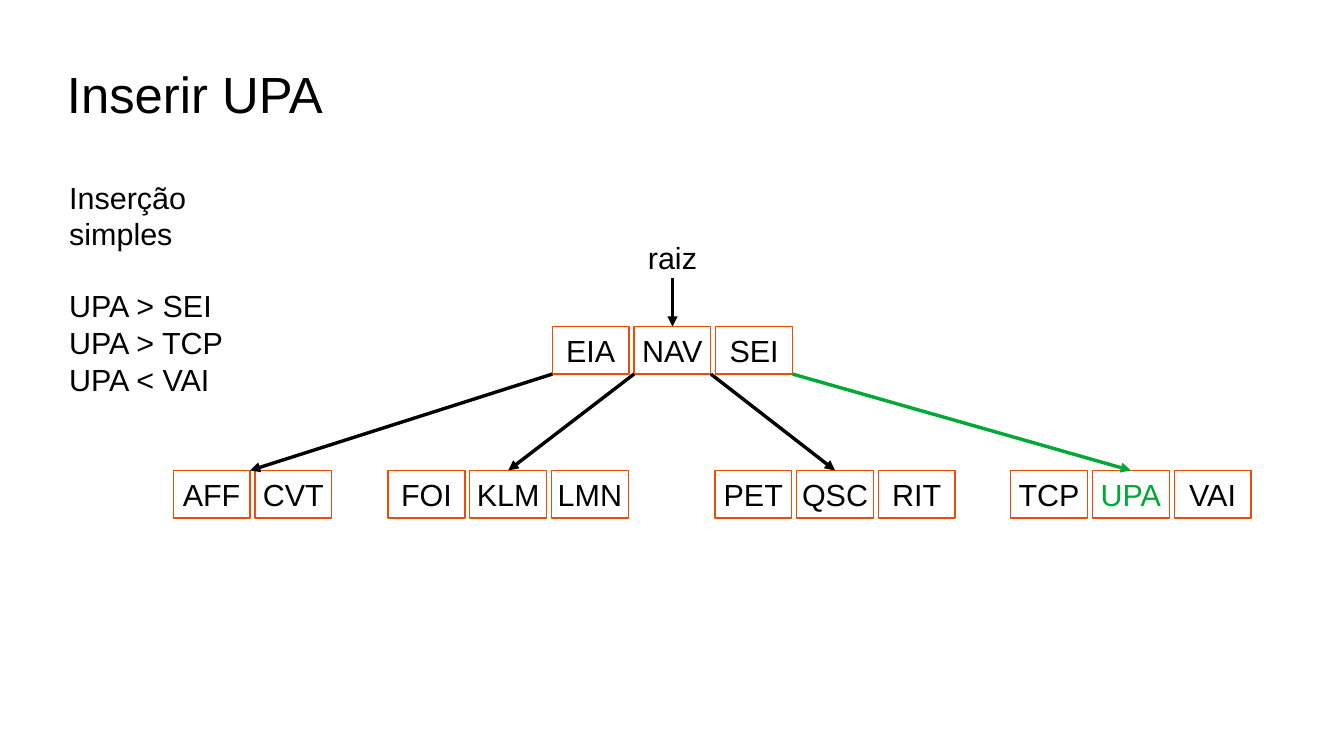
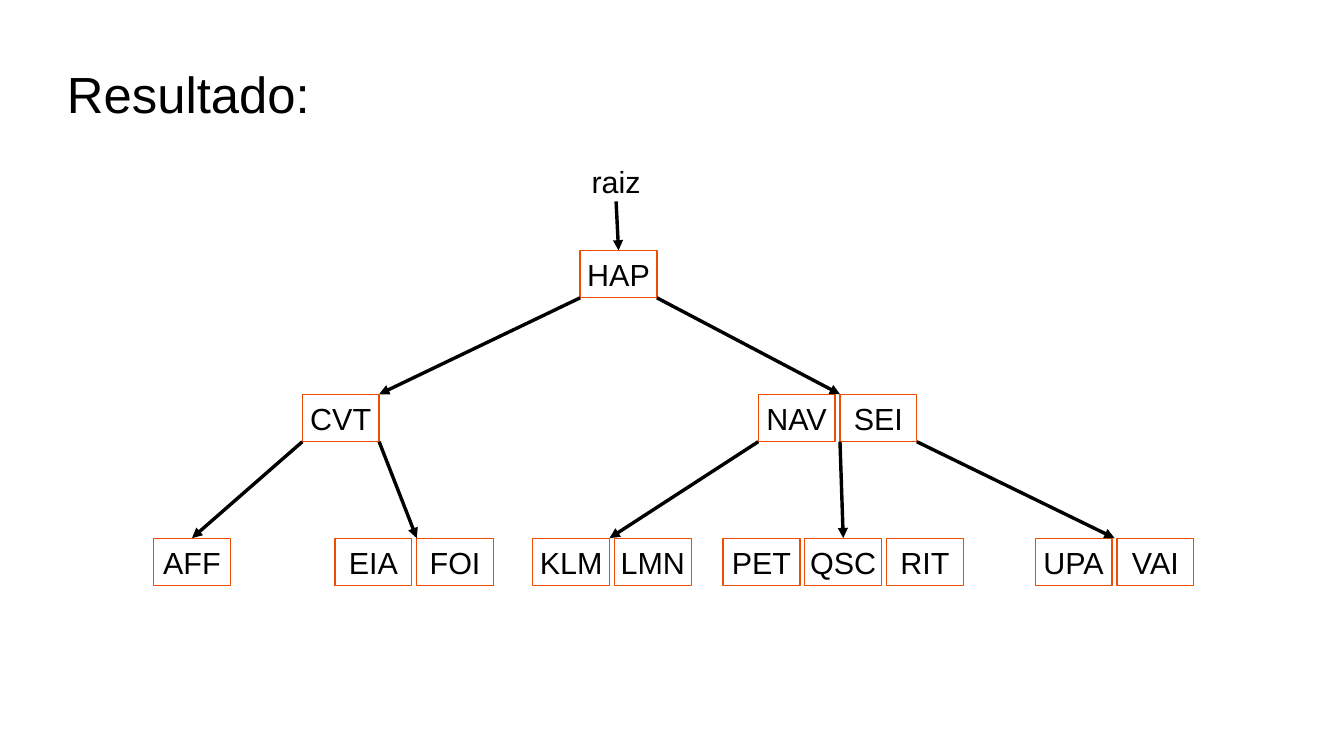
from dataclasses import dataclass

from lxml import etree
from pptx import Presentation
from pptx import util as u
from pptx.dml.color import RGBColor
from pptx.enum import shapes, text
from pptx.oxml import ns
from pptx.shapes.autoshape import Shape
from pptx.slide import Slide


@dataclass(frozen=True)
class Theme:
    font: str = "Arial"
    ink: str = "000000"
    paper: str = "FFFFFF"
    border: str = "ED4C05"
    new: str = "00A933"
    title_size: int = 30
    body_size: int = 18
    note_gap: int = 21
    hairline: int = 0


@dataclass(frozen=True)
class Area:
    """A rectangle in grid columns and rows."""
    column: float
    row: float
    columns: float
    rows: float


@dataclass(frozen=True)
class Node:
    """A tree node; entry shifts the incoming arrow from the node's centre."""
    column: float
    keys: tuple[str, ...]
    entry: float = 0
    children: tuple["Node", ...] = ()
    new_key: str = ""

    @property
    def centre(self) -> float:
        return self.column + (len(self.keys) - 1 + KEY_WIDTH) / 2

    def exit(self, gap: int) -> float:
        """Column where the pointer before key number `gap` starts."""
        if gap * 2 <= len(self.keys):
            return self.column + gap
        return self.column + gap - 1 + KEY_WIDTH


@dataclass(frozen=True)
class TreePage:
    title: str
    root: Node
    root_row: float
    label_shift: float = 0
    notes: tuple[str, ...] = ()


THEME = Theme()
SLIDE_WIDTH, SLIDE_HEIGHT = 11.02, 6.2
# One column holds a key and its gap; one row is a tree level.
COLUMN, ROW = 0.67, 1.18
KEY_WIDTH, KEY_HEIGHT = 0.94, 0.33
LABEL_WIDTH, LABEL_HEIGHT = 0.9, 0.32
LABEL_RISE, ROOT_ARROW = 0.65, 0.34
TITLE_AREA = Area(0.82, 0.21, 14.8, 0.88)
NOTES_AREA = Area(0.7, 1.2, 3.09, 1.27)

PAGES = (
    TreePage(
        "Inserir UPA",
        Node(6.76, ("EIA", "NAV", "SEI"), children=(
            Node(2.12, ("AFF", "CVT"), entry=-0.03),
            Node(4.75, ("FOI", "KLM", "LMN")),
            Node(8.75, ("PET", "QSC", "RIT")),
            Node(12.37, ("TCP", "UPA", "VAI"), new_key="UPA"),
        )),
        root_row=2.27,
        notes=("Inserção simples", "UPA > SEI", "UPA > TCP", "UPA < VAI"),
    ),
    TreePage(
        "Resultado:",
        Node(7.1, ("HAP",), children=(
            Node(3.7, ("CVT",), entry=0.47, children=(
                Node(1.88, ("AFF",)),
                Node(4.1, ("EIA", "FOI"), entry=0.03),
            )),
            Node(9.28, ("NAV", "SEI"), entry=0.03, children=(
                Node(6.52, ("KLM", "LMN"), entry=-0.03),
                Node(8.85, ("PET", "QSC", "RIT")),
                Node(12.67, ("UPA", "VAI")),
            )),
        )),
        root_row=1.74,
        label_shift=-0.03,
    ),
)


def across(columns: float) -> u.Length:
    return u.Inches(columns * COLUMN)


def down(rows: float) -> u.Length:
    return u.Inches(rows * ROW)


def bounds(area: Area) -> tuple[u.Length, u.Length, u.Length, u.Length]:
    return across(area.column), down(area.row), across(area.columns), down(area.rows)


def write(box: Shape, words: str, size: int = THEME.body_size,
          color: str = THEME.ink, align: text.PP_ALIGN = text.PP_ALIGN.LEFT,
          anchor: text.MSO_ANCHOR = text.MSO_ANCHOR.TOP) -> None:
    frame = box.text_frame
    frame.text = words
    frame.word_wrap = False
    frame.vertical_anchor = anchor
    for para in frame.paragraphs:
        para.alignment = align
        for span in para.runs:
            span.font.name = THEME.font
            span.font.size = u.Pt(size)
            span.font.color.rgb = RGBColor.from_string(color)


def add_title(page: Slide, words: str) -> None:
    box = page.shapes.add_textbox(*bounds(TITLE_AREA))
    write(box, words, THEME.title_size, anchor=text.MSO_ANCHOR.MIDDLE)
    frame = box.text_frame
    frame.word_wrap = True
    frame.margin_left = frame.margin_right = 0
    frame.margin_top = frame.margin_bottom = 0


def add_notes(page: Slide, lines: tuple[str, ...]) -> None:
    """Add the heading and, after a gap, the comparisons made."""
    box = page.shapes.add_textbox(*bounds(NOTES_AREA))
    write(box, "\n".join(lines))
    box.text_frame.paragraphs[0].space_after = u.Pt(THEME.note_gap)


def add_key(page: Slide, key: str, column: float, row: float, color: str) -> None:
    area = Area(column, row, KEY_WIDTH, KEY_HEIGHT)
    box = page.shapes.add_shape(shapes.MSO_SHAPE.RECTANGLE, *bounds(area))
    box.shadow.inherit = False
    box.fill.solid()
    box.fill.fore_color.rgb = RGBColor.from_string(THEME.paper)
    box.line.color.rgb = RGBColor.from_string(THEME.border)
    box.line.width = u.Pt(THEME.hairline)
    write(box, key, color=color, align=text.PP_ALIGN.CENTER,
          anchor=text.MSO_ANCHOR.MIDDLE)


def add_arrow(page: Slide, start: tuple[float, float], end: tuple[float, float],
              color: str = THEME.ink) -> None:
    arrow = page.shapes.add_connector(
        shapes.MSO_CONNECTOR.STRAIGHT,
        across(start[0]), down(start[1]), across(end[0]), down(end[1]))
    arrow.line.color.rgb = RGBColor.from_string(color)
    arrow.line.width = u.Pt(THEME.hairline)
    properties = arrow.element.spPr
    outline = properties.find(ns.qn("a:ln"))
    etree.SubElement(outline, ns.qn("a:tailEnd"), type="triangle")
    etree.SubElement(properties, ns.qn("a:effectLst"))


def add_tree(page: Slide, node: Node, row: float) -> None:
    """Draw a node's keys, then its pointers and subtrees one row below."""
    for place, key in enumerate(node.keys):
        color = THEME.new if key == node.new_key else THEME.ink
        add_key(page, key, node.column + place, row, color)
    for gap, child in enumerate(node.children):
        add_tree(page, child, row + 1)
        add_arrow(page, (node.exit(gap), row + KEY_HEIGHT),
                  (child.centre + child.entry, row + 1),
                  THEME.new if child.new_key else THEME.ink)


def add_root_label(page: Slide, tree: TreePage) -> None:
    centre = tree.root.centre + tree.label_shift
    area = Area(centre - LABEL_WIDTH / 2, tree.root_row - LABEL_RISE,
                LABEL_WIDTH, LABEL_HEIGHT)
    box = page.shapes.add_textbox(*bounds(area))
    write(box, "raiz", align=text.PP_ALIGN.CENTER)
    add_arrow(page, (centre, tree.root_row - ROOT_ARROW),
              (tree.root.centre, tree.root_row))


def main() -> None:
    deck = Presentation()
    deck.slide_width = u.Inches(SLIDE_WIDTH)
    deck.slide_height = u.Inches(SLIDE_HEIGHT)
    blank = deck.slide_layouts[6]
    for tree in PAGES:
        page = deck.slides.add_slide(blank)
        add_title(page, tree.title)
        if tree.notes:
            add_notes(page, tree.notes)
        add_root_label(page, tree)
        add_tree(page, tree.root, tree.root_row)
    deck.save("out.pptx")


if __name__ == "__main__":
    main()
